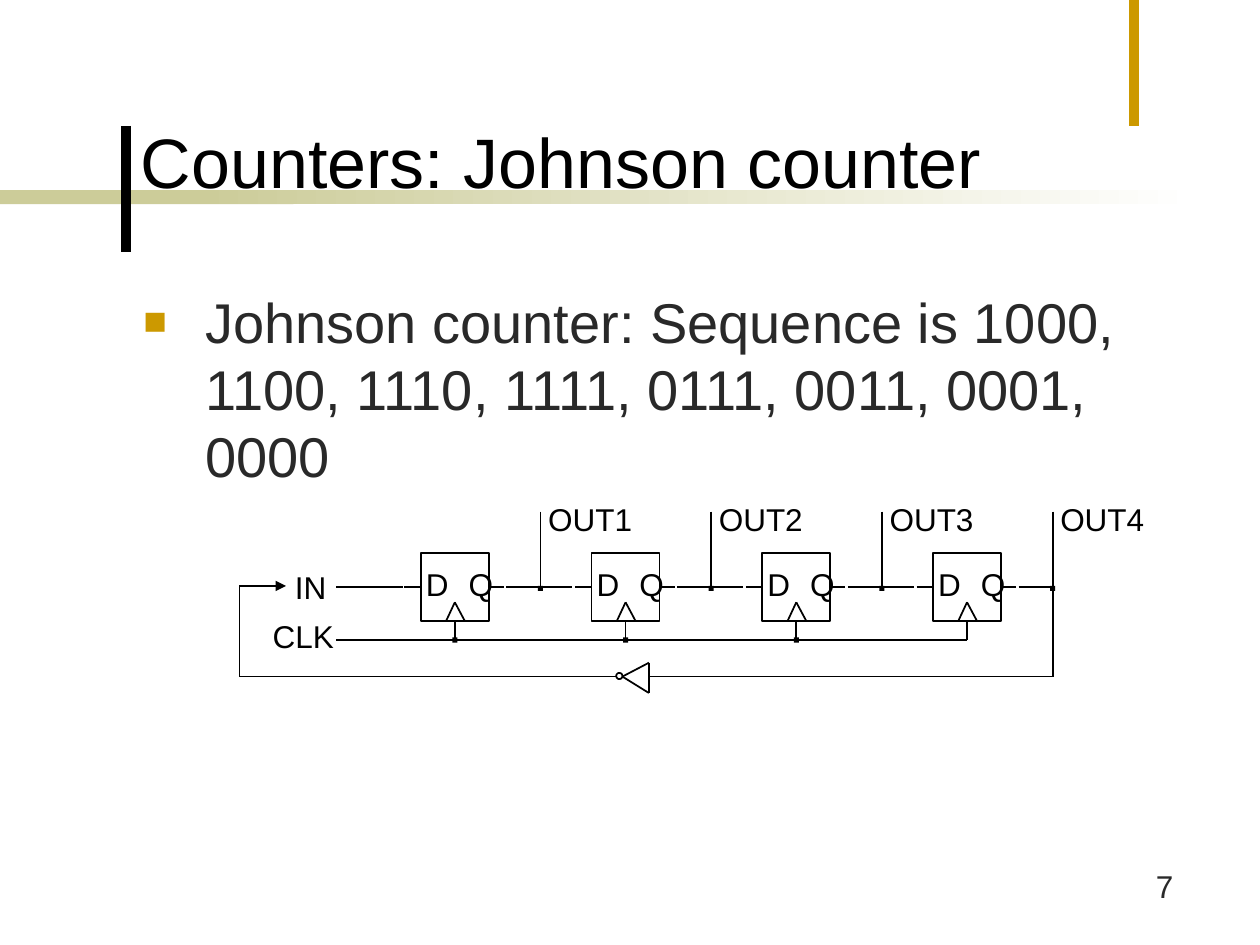
"""Build a slide that shows a four-stage Johnson counter."""
from lxml.etree import SubElement
from pptx import Presentation
from pptx.dml.color import RGBColor
from pptx.enum.shapes import MSO_CONNECTOR, MSO_SHAPE
from pptx.enum.text import MSO_ANCHOR, PP_ALIGN
from pptx.oxml.ns import qn
from pptx.util import Inches, Pt

COLORS = {"ink": "000000", "body": "292929", "gold": "CC9900", "sand": "CCCC99", "paper": "FFFFFF"}
COLORS = {name: RGBColor.from_string(value) for name, value in COLORS.items()}

deck = Presentation()
deck.slide_width, deck.slide_height = Inches(10), Inches(7.5)
page = deck.slides.add_slide(deck.slide_layouts[6])
unit = deck.slide_width / 10


def wire(*ends):
    line = page.shapes.add_connector(MSO_CONNECTOR.STRAIGHT, *[int(end * unit) for end in ends])
    line.line.color.rgb = COLORS["ink"]
    line.line.width = Pt(1)
    SubElement(line._element.spPr, qn("a:effectLst"))
    return line


def label(text, place, size=18, color="ink", align=PP_ALIGN.LEFT, small=True):
    box = page.shapes.add_textbox(*[int(value * unit) for value in place])
    frame = box.text_frame
    frame.text = text
    frame.word_wrap = not small
    paragraph = frame.paragraphs[0]
    paragraph.alignment = align
    if small:
        frame.margin_left = frame.margin_right = Inches(0.02)
        frame.margin_top = frame.margin_bottom = Inches(0.03)
        paragraph.line_spacing = Pt(17)
    span = paragraph.runs[0]
    span.font.name = "Arial"
    span.font.size = Pt(size)
    span.font.color.rgb = COLORS[color]
    return frame


for left, width in ((0, 2.33), (1.58, 7.92)):
    bar = page.shapes.add_shape(
        MSO_SHAPE.RECTANGLE, *[int(value * unit) for value in (left, 1.51, width, 0.11)])
    bar.shadow.inherit = False
    bar.line.fill.background()
    if left == 0:
        bar.fill.solid()
        bar.fill.fore_color.rgb = COLORS["sand"]
    else:
        bar.fill.gradient()
        bar.fill.gradient_angle = 0
        for stop, position, name in zip(bar.fill.gradient_stops, (0, 1), ("sand", "paper")):
            stop.position = position
            stop.color.rgb = COLORS[name]

for tip, spine, top, color in ((1.08, 0.92, 0.61, "ink"), (9.04, 9.2, 0.3, "gold")):
    bottom = top + 1.17
    builder = page.shapes.build_freeform(tip, top, scale=unit)
    builder.add_line_segments([(spine, top), (spine, bottom), (tip, bottom)], close=False)
    bracket = builder.convert_to_shape()
    bracket.shadow.inherit = False
    bracket.fill.background()
    bracket.line.color.rgb = COLORS[color]
    bracket.line.width = Pt(6)

label("7", (7.33, 6.83, 2.08, 0.5), color="body", align=PP_ALIGN.RIGHT, small=False)
title = label("Counters: Johnson counter", (1.02, 0.11, 7.83, 1.55), size=40, small=False)
title.vertical_anchor = MSO_ANCHOR.BOTTOM
body = label("Johnson counter: Sequence is 1000, 1100, 1110, 1111, 0111, 0011, 0001, 0000",
             (1.04, 2.17, 8.38, 4.5), size=32, color="body", small=False)
body.margin_top = Inches(0.11)
properties = body.paragraphs[0]._p.get_or_add_pPr()
properties.set("marL", str(Inches(0.49)))
properties.set("indent", str(-Inches(0.49)))
bullet_color = SubElement(properties, qn("a:buClr"))
SubElement(bullet_color, qn("a:srgbClr"), val=str(COLORS["gold"]))
SubElement(properties, qn("a:buSzPct"), val="70000")
SubElement(properties, qn("a:buFont"), typeface="Arial")
SubElement(properties, qn("a:buChar"), char="■")

first, pitch, side = 3.34, 1.355, 0.54
out_top, data, clock, feedback = 4.06, 4.66, 5.08, 5.37
base = data + side / 2
stages = 4
dots = []

for stage in range(stages):
    left = first + stage * pitch
    middle, tap = left + side / 2, left + 0.95
    flipflop = page.shapes.add_shape(
        MSO_SHAPE.RECTANGLE, *[int(value * unit) for value in (left, data - side / 2, side, side)])
    flipflop.shadow.inherit = False
    flipflop.fill.solid()
    flipflop.fill.fore_color.rgb = COLORS["paper"]
    flipflop.line.color.rgb = COLORS["ink"]
    flipflop.line.width = Pt(1)
    for foot in (middle - 0.07, middle + 0.08):
        wire(foot, base, middle, base - 0.15)
    label("D", (left + 0.02, 4.52, 0.26, 0.34))
    label("Q", (left + 0.36, 4.52, 0.25, 0.34))
    label(f"OUT{stage + 1}", (tap + 0.04, 4, 0.75, 0.34))

    wire(left - 0.13, data, left, data).end_connect(flipflop, 1)
    wire(left + side, data, left + 0.66, data).begin_connect(flipflop, 3)
    wire(middle, base, middle, clock).begin_connect(flipflop, 2)
    wire(left + 0.68, data, tap, data)
    wire(tap, out_top, tap, data)
    dots.append((tap, data + 0.01))
    if stage < stages - 1:
        wire(tap, data, left + 1.2, data)
        dots.append((middle, clock))

for x, y in dots:
    dot = page.shapes.add_shape(
        MSO_SHAPE.RECTANGLE, *[int(value * unit) for value in (x - 0.02, y - 0.02, 0.04, 0.04)])
    dot.shadow.inherit = False
    dot.fill.solid()
    dot.fill.fore_color.rgb = COLORS["ink"]
    dot.line.fill.background()

label("IN", (2.06, 4.54, 0.55, 0.34), align=PP_ALIGN.RIGHT)
label("CLK", (2.14, 4.93, 0.53, 0.34), align=PP_ALIGN.RIGHT)
wire(2.67, data, 3.2, data)
wire(2.67, clock, middle, clock)

wire(tap, data, tap, feedback)
wire(tap, feedback, 5.15, feedback)
for corner in (5.26, 5.5):
    wire(5.15, corner, 4.94, feedback)
wire(5.15, 5.26, 5.15, 5.5)
bubble = page.shapes.add_shape(
    MSO_SHAPE.OVAL, *[int(value * unit) for value in (4.89, 5.34, 0.05, 0.05)])
bubble.shadow.inherit = False
bubble.fill.background()
bubble.line.color.rgb = COLORS["ink"]
bubble.line.width = Pt(1)
wire(4.89, feedback, 1.9, feedback)
wire(1.9, feedback, 1.9, 4.65)
arrow = wire(1.9, 4.65, 2.27, 4.65)
SubElement(arrow.line._get_or_add_ln(), qn("a:tailEnd"), type="triangle")

deck.save("out.pptx")
